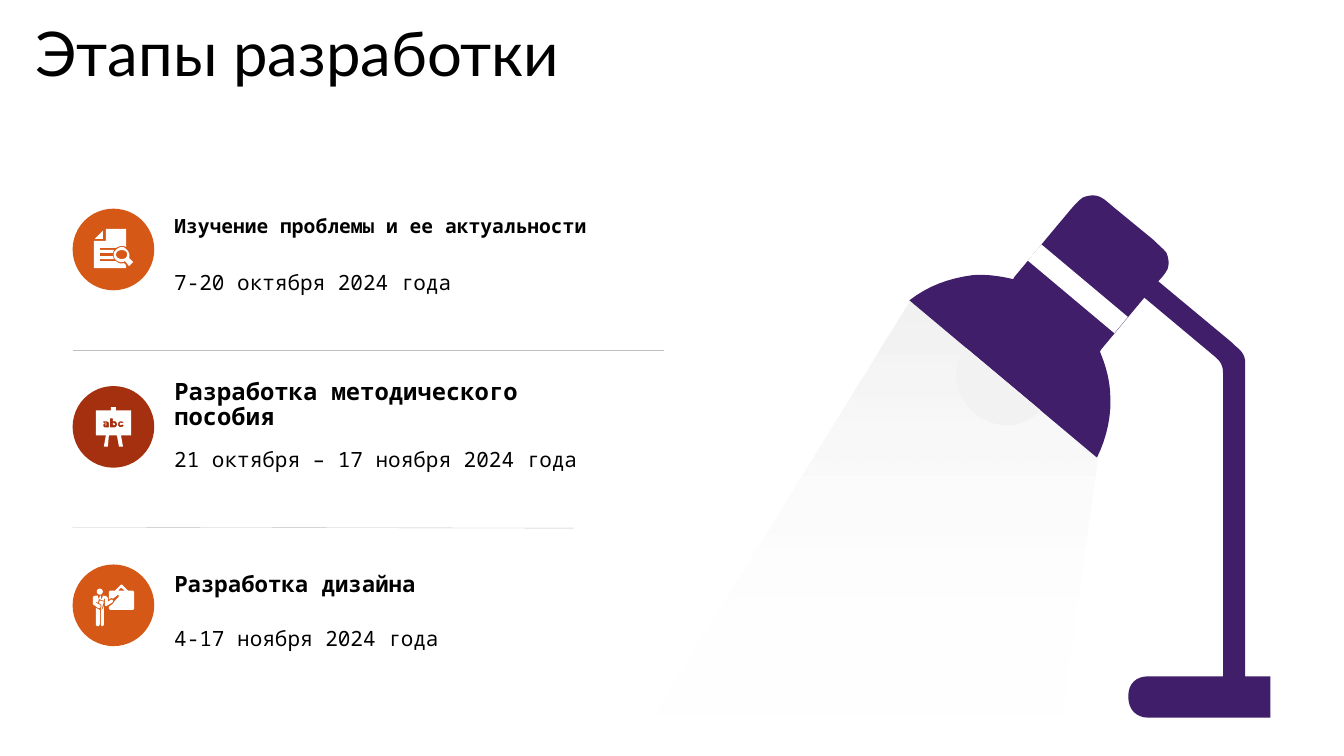
import pptx
import pptx.util
import pptx.dml.color
import pptx.enum.shapes
import pptx.enum.text
import pptx.oxml.ns
import lxml.etree

Inches = pptx.util.Inches
qn = pptx.oxml.ns.qn
PURPLE, ORANGE, RED, WHITE, PALE = "401E6A", "D55816", "A5300F", "FFFFFF", "F2F2F2"


def paint(fill, color):
    fill.solid()
    fill.fore_color.rgb = pptx.dml.color.RGBColor.from_string(color)


def draw_outline(contours, color):
    builder = None
    for contour in contours:
        points = [contour[0]]
        for segment in contour[1:]:
            if len(segment) == 2:
                points.append(segment)
                continue
            x0, y0 = points[-1]
            x1, y1, x2, y2, x3, y3 = segment
            for step in range(1, 9):
                t = step / 8
                weights = ((1 - t) ** 3, 3 * t * (1 - t) ** 2, 3 * t * t * (1 - t), t ** 3)
                points.append((sum(w * x for w, x in zip(weights, (x0, x1, x2, x3))),
                               sum(w * y for w, y in zip(weights, (y0, y1, y2, y3)))))
        points = [(Inches(x), Inches(y)) for x, y in points]
        if builder is None:
            builder = slide.shapes.build_freeform(*points[0], scale=1.0)
        else:
            builder.move_to(*points[0])
        builder.add_line_segments(points[1:], close=True)
    shape = builder.convert_to_shape()
    shape.shadow.inherit = False
    shape.line.fill.background()
    paint(shape.fill, color)
    return shape


presentation = pptx.Presentation()
presentation.slide_width, presentation.slide_height = Inches(13.33), Inches(7.5)
slide = presentation.slides.add_slide(presentation.slide_layouts[5])
paint(slide.background.fill, WHITE)

title = slide.shapes.title
title.left, title.top, title.width, title.height = map(Inches, (0.25, 0.13, 11.5, 0.87))
title.text_frame.text = "Этапы разработки"
title.text_frame.vertical_anchor = pptx.enum.text.MSO_ANCHOR.MIDDLE
paragraph = title.text_frame.paragraphs[0]
paragraph.alignment = pptx.enum.text.PP_ALIGN.LEFT
paragraph.line_spacing = 0.9
paragraph.font.name, paragraph.font.size = "Lato", pptx.util.Pt(44)
paint(paragraph.font.fill, "000000")

light = draw_outline([[(9.02, 2.98), (6.47, 7.12), (10.52, 7.12), (10.88, 4.54), (9.2, 2.92)]], PALE)
light.fill.gradient()
light.fill.gradient_angle = 270
for stop, color in zip(light.fill.gradient_stops, (PALE, WHITE)):
    stop.color.rgb = pptx.dml.color.RGBColor.from_string(color)
clear_end = light.element.spPr.findall(".//" + qn("a:srgbClr"))[-1]
lxml.etree.SubElement(clear_end, qn("a:alpha")).set("val", "0")

lamp_head = [
    (11.44, 2.38), (11.5, 2.44, 11.54, 2.47, 11.57, 2.51), (11.59, 2.56, 11.6, 2.62, 11.58, 2.67),
    (11.56, 2.71, 11.53, 2.75, 11.47, 2.81), (10.92, 3.47), (10.91, 3.49),
    (10.96, 3.61, 11, 3.74, 11.01, 3.88), (11.03, 4.11, 10.98, 4.34, 10.88, 4.54),
    (9.02, 2.98), (9.2, 2.84, 9.41, 2.76, 9.65, 2.73), (9.79, 2.72, 9.92, 2.74, 10.05, 2.77),
    (10.06, 2.75), (10.61, 2.09), (10.67, 2.02, 10.7, 1.99, 10.74, 1.96),
    (10.79, 1.94, 10.85, 1.93, 10.9, 1.95), (10.95, 1.97, 10.98, 2, 11.05, 2.06)]
draw_outline([lamp_head], PURPLE)

lamp_band = slide.shapes.add_shape(pptx.enum.shapes.MSO_SHAPE.RECTANGLE,
                                   Inches(10.13), Inches(2.76), Inches(1.12), Inches(0.21))
lamp_band.rotation = 40
lamp_band.shadow.inherit = False
lamp_band.line.fill.background()
paint(lamp_band.fill, WHITE)

bulb = [(10.32, 4.07), (10.25, 4.16, 10.14, 4.21, 10.01, 4.22), (9.75, 4.23, 9.52, 4.03, 9.49, 3.78),
        (9.47, 3.65, 9.5, 3.53, 9.58, 3.45)]
draw_outline([bulb], PALE)

lamp_stand = [
    (11.33, 2.68), (11.3, 2.68), (11.28, 2.69, 11.25, 2.7, 11.24, 2.72),
    (11.22, 2.74, 11.21, 2.77, 11.21, 2.8), (11.21, 2.83, 11.23, 2.85, 11.25, 2.87),
    (12.04, 3.53), (12.1, 3.58, 12.13, 3.62, 12.13, 3.7), (12.13, 6.71), (11.39, 6.71),
    (11.27, 6.71, 11.19, 6.78, 11.19, 6.91), (11.19, 7.04, 11.27, 7.12, 11.39, 7.12),
    (12.6, 7.12), (12.6, 6.71), (12.35, 6.71), (12.35, 3.6),
    (12.35, 3.52, 12.31, 3.48, 12.25, 3.43), (12.22, 3.4), (11.39, 2.71),
    (11.37, 2.69, 11.35, 2.68, 11.33, 2.68)]
draw_outline([lamp_stand], PURPLE)

report_icon = [
    [(1.21, 2.48), (1.13, 2.48, 1.13, 2.57, 1.21, 2.57), (1.28, 2.57, 1.28, 2.48, 1.21, 2.48)],
    [(1.21, 2.45), (1.23, 2.45, 1.24, 2.46, 1.26, 2.48), (1.28, 2.5, 1.29, 2.53, 1.28, 2.56),
     (1.32, 2.6), (1.28, 2.64), (1.24, 2.59), (1.21, 2.61, 1.18, 2.6, 1.15, 2.58),
     (1.12, 2.55, 1.12, 2.5, 1.15, 2.48), (1.17, 2.46, 1.19, 2.45, 1.21, 2.45)],
    [(1.02, 2.29), (1.02, 2.37), (0.94, 2.37)],
    [(1.05, 2.27), (1.25, 2.27), (1.25, 2.45), (1.22, 2.43, 1.18, 2.44, 1.15, 2.46),
     (0.99, 2.46), (0.99, 2.48), (1.13, 2.48), (1.12, 2.51), (0.99, 2.51), (0.99, 2.54),
     (1.12, 2.54), (1.13, 2.57), (0.99, 2.57), (0.99, 2.59), (1.15, 2.59),
     (1.17, 2.61, 1.2, 2.62, 1.23, 2.61), (1.25, 2.63), (1.25, 2.66), (0.93, 2.66),
     (0.93, 2.39), (1.05, 2.39)]]

easel_icon = [
    [(1.1, 4.04), (1.15, 4.04), (1.15, 4.07), (1.3, 4.07), (1.3, 4.32), (1.2, 4.32), (1.22, 4.43),
     (1.18, 4.43), (1.16, 4.32), (1.08, 4.32), (1.07, 4.43), (1.03, 4.43), (1.05, 4.32),
     (0.95, 4.32), (0.95, 4.07), (1.1, 4.07)],
    [(1.02, 4.18), (1.05, 4.18), (1.06, 4.18, 1.08, 4.18, 1.08, 4.2), (1.08, 4.24), (1.04, 4.24),
     (1.02, 4.24, 1.02, 4.2, 1.04, 4.2), (1.06, 4.2), (1.05, 4.19), (1.03, 4.2)],
    [(1.05, 4.21), (1.06, 4.21), (1.05, 4.22), (1.04, 4.22)],
    [(1.09, 4.15), (1.12, 4.15), (1.12, 4.18), (1.17, 4.16, 1.18, 4.25, 1.12, 4.24), (1.09, 4.24)],
    [(1.12, 4.2), (1.14, 4.18, 1.15, 4.24, 1.12, 4.21)],
    [(1.23, 4.19), (1.2, 4.17, 1.17, 4.18, 1.17, 4.21), (1.17, 4.24, 1.21, 4.25, 1.23, 4.22),
     (1.21, 4.21), (1.2, 4.23, 1.18, 4.21, 1.19, 4.2), (1.2, 4.19), (1.21, 4.2)]]

presenter_icon = [
    [(0.95, 6.03), (0.99, 6.05), (0.99, 6.19), (0.99, 6.22, 0.95, 6.22, 0.95, 6.19)],
    [(1.03, 6.01), (1.03, 6.19), (1.03, 6.22, 1, 6.22, 1, 6.19), (1, 6.05), (1.02, 6.04)],
    [(1, 5.96), (1.03, 5.97), (1.01, 6.04), (1, 6.04), (1.01, 6.01, 1.01, 6, 0.99, 5.99),
     (0.98, 5.98), (0.99, 5.96)],
    [(0.99, 5.91), (1, 5.91), (1, 5.95), (0.98, 5.94), (0.99, 5.92)],
    [(1.02, 5.91), (1.05, 5.91, 1.07, 5.92, 1.07, 5.94), (1.07, 5.97), (1.1, 5.95),
     (1.12, 5.94, 1.13, 5.97, 1.11, 5.98), (1.06, 6.01), (1.05, 6.02, 1.04, 6.01, 1.04, 6),
     (1.04, 5.94), (1.03, 5.94), (1.03, 5.96), (1, 5.95), (1.01, 5.94, 1.02, 5.92, 1.02, 5.91)],
    [(0.95, 5.91), (0.97, 5.91), (0.98, 5.95), (0.97, 5.98), (0.95, 5.97), (0.95, 5.94),
     (0.95, 5.98), (0.99, 6), (1.01, 6.02, 0.99, 6.04, 0.97, 6.03), (0.93, 6),
     (0.92, 6, 0.92, 5.99, 0.92, 5.99), (0.92, 5.94), (0.92, 5.92, 0.93, 5.91, 0.95, 5.91)],
    [(0.99, 5.84), (1.03, 5.84, 1.03, 5.9, 0.99, 5.9), (0.95, 5.9, 0.95, 5.84, 0.99, 5.84)],
    [(1.2, 5.83), (1.17, 5.86), (1.24, 5.86)],
    [(1.21, 5.8), (1.27, 5.86), (1.32, 5.86), (1.33, 5.87), (1.33, 6.04), (1.32, 6.05),
     (1.09, 6.05), (1.08, 6.04), (1.08, 6.02), (1.12, 5.99), (1.14, 5.96), (1.17, 5.93),
     (1.19, 5.91, 1.17, 5.89, 1.16, 5.91), (1.12, 5.94), (1.11, 5.93, 1.1, 5.93, 1.08, 5.95),
     (1.08, 5.87), (1.09, 5.86), (1.14, 5.86), (1.2, 5.8)]]

stages = [
    (2.07, ORANGE, report_icon, "Изучение проблемы и ее актуальности", 14, 0.8, "7-20 октября 2024 года"),
    (3.83, RED, easel_icon, "Разработка методического пособия", 17, 0.9, "21 октября – 17 ноября 2024 года"),
    (5.6, ORANGE, presenter_icon, "Разработка дизайна", 16, 1.0, "4-17 ноября 2024 года")]
for top, color, icon, heading, size, spacing, dates in stages:
    circle = slide.shapes.add_shape(pptx.enum.shapes.MSO_SHAPE.OVAL,
                                    Inches(0.72), Inches(top), Inches(0.81), Inches(0.81))
    circle.shadow.inherit = False
    circle.line.fill.background()
    paint(circle.fill, color)
    draw_outline(icon, WHITE)
    for text, text_top, width, height, text_size, line_spacing, bold, anchor in (
            (heading, top - 0.05, 4.72, 0.48, size, spacing, True, pptx.enum.text.MSO_ANCHOR.MIDDLE),
            (dates, top + 0.43, 5.57, 0.78, 15, 1.5, False, pptx.enum.text.MSO_ANCHOR.TOP)):
        box = slide.shapes.add_textbox(Inches(1.63), Inches(text_top), Inches(width), Inches(height))
        box.text_frame.word_wrap = True
        box.text_frame.vertical_anchor = anchor
        paragraph = box.text_frame.paragraphs[0]
        paragraph.text = text
        paragraph.line_spacing = line_spacing
        paragraph.font.name, paragraph.font.size = "Noto Sans Mono", pptx.util.Pt(text_size)
        paragraph.font.bold = bold
        paint(paragraph.font.fill, "000000")

for right, start_y, end_y in ((6.59, 3.47, 3.47), (5.69, 5.23, 5.24)):
    divider = slide.shapes.add_connector(pptx.enum.shapes.MSO_CONNECTOR.STRAIGHT,
                                         Inches(0.72), Inches(start_y), Inches(right), Inches(end_y))
    divider.line.width = pptx.util.Pt(0.25)
    paint(divider.line.fill, "BFBFBF")
    lxml.etree.SubElement(divider.element.spPr, qn("a:effectLst"))

presentation.save("out.pptx")
